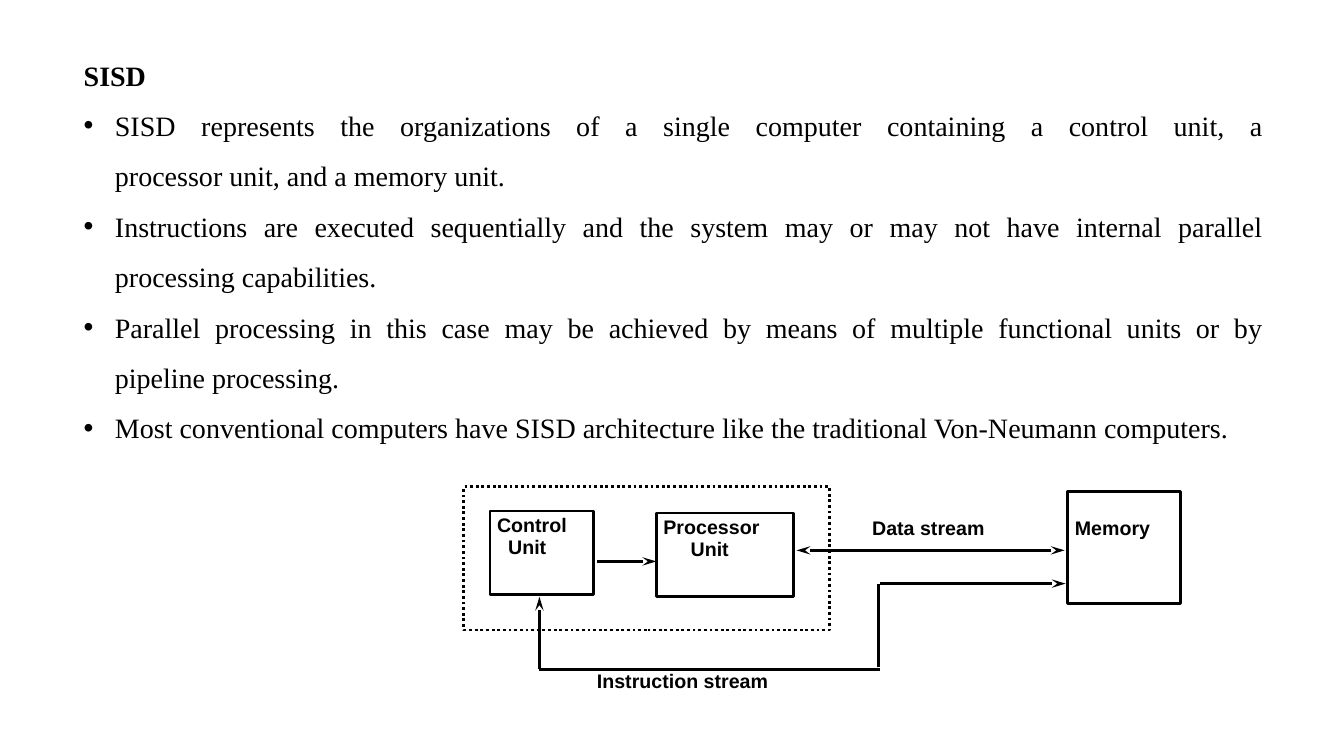
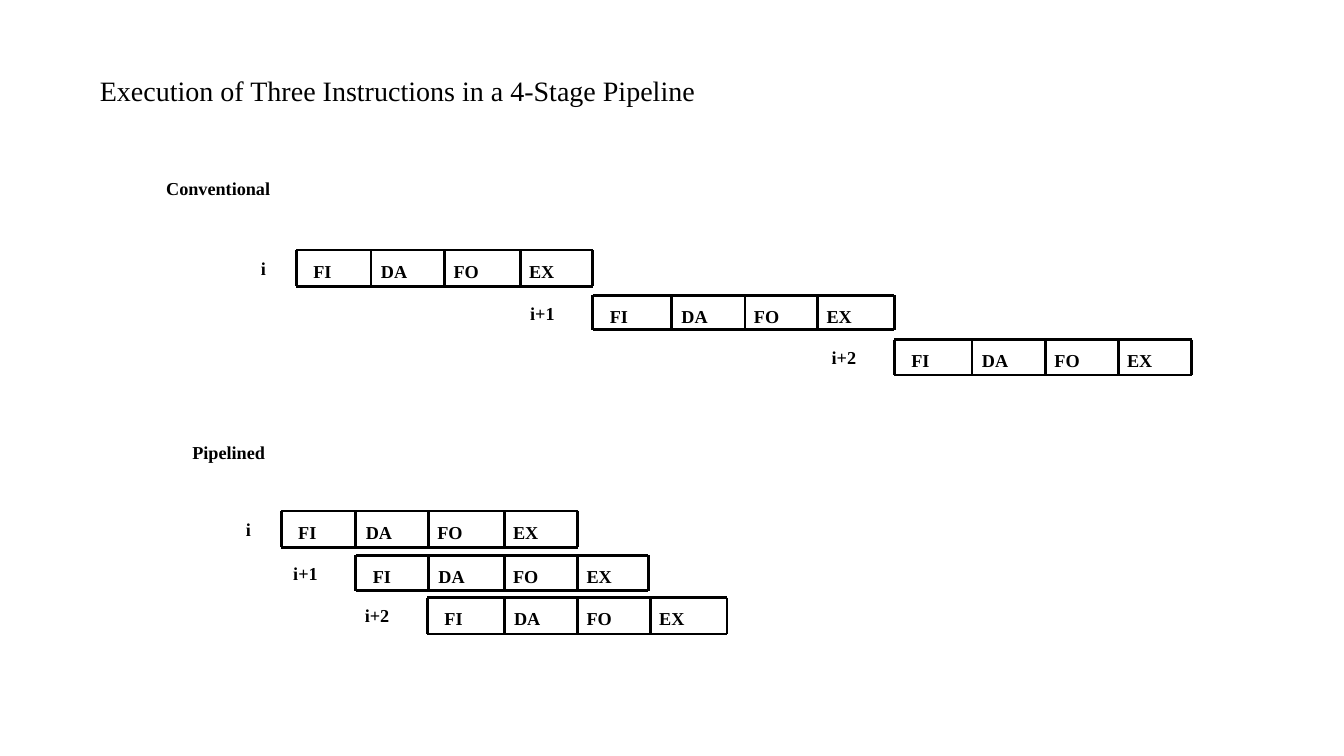
from dataclasses import dataclass

from pptx import Presentation
from pptx.dml.color import RGBColor
from pptx.enum.dml import MSO_LINE
from pptx.enum.shapes import MSO_CONNECTOR as Conn, MSO_SHAPE as Form
from pptx.enum.text import MSO_ANCHOR as Anchor, MSO_AUTO_SIZE as Fit, PP_ALIGN as Align
from pptx.oxml.ns import qn
from pptx.util import Pt
from lxml.etree import SubElement

PX = 9144  # EMU per px, 100 px to the inch


@dataclass(frozen=True)
class Theme:
    ink: RGBColor = RGBColor(0, 0, 0)
    serif: str = "Times New Roman"
    sans: str = "Arial"
    text: int = 20
    label: int = 14
    cell: int = 13
    rule: int = 2


THEME = Theme()

BULLETS = [
    "SISD represents the organizations of a single computer containing a control unit, a\v"
    "processor unit, and a memory unit.",
    "Instructions are executed sequentially and the system may or may not have internal "
    "parallel processing capabilities.",
    "Parallel processing in this case may be achieved by means of multiple functional "
    "units or by\vpipeline processing.",
    "Most conventional computers have SISD architecture like the traditional "
    "Von-Neumann computers.",
]

# Stage name: offset from its cell's left edge, and width
STAGES = {"FI": (7, 70), "DA": (0, 85), "FO": (-1, 83), "EX": (-1, 83)}
# Row label: distance from its row, and width
LABELS = {"i": (45, 46), "i+1": (72, 82), "i+2": (72, 82)}
# Each row: top, bottom, then the edges of its four cells
SERIAL = [
    (248, 284, (294, 368, 441, 516, 588)),
    (293, 327, (588, 666, 739, 811, 887)),
    (337, 372, (887, 964, 1037, 1109, 1182)),
]
STAGGER = [
    (507, 543, (279, 353, 425, 500, 573)),
    (551, 586, (353, 425, 500, 573, 643)),
    (593, 629, (424, 500, 573, 645, 721)),
]


# Text and shape helpers
def px(*sizes):
    return [round(size * PX) for size in sizes]


def write(shape, *lines, size=THEME.cell, font=THEME.serif, bold=True, inset=(10, 5),
          align=Align.LEFT, space=1.0, indents=None, hang=0):
    frame = shape.text_frame
    frame.word_wrap = True
    frame.auto_size = Fit.NONE
    frame.vertical_anchor = Anchor.TOP
    side, top = px(*inset)
    frame.margin_left = frame.margin_right = side
    frame.margin_top = frame.margin_bottom = top
    for num, line in enumerate(lines):
        para = frame.paragraphs[0] if num == 0 else frame.add_paragraph()
        para.text = line
        para.alignment = align
        para.line_spacing = space
        para.space_before = Pt(0)
        if indents:
            props = para._p.get_or_add_pPr()
            props.set("marL", str(indents[num] * PX))
            props.set("indent", str(-hang * PX))
        style = para.font
        style.name, style.size, style.bold = font, Pt(size), bold
        style.color.rgb = THEME.ink


def head(slide, text, box, **style):
    shape = slide.shapes.title
    shape.left, shape.top, shape.width, shape.height = px(*box)
    write(shape, text, size=THEME.text, **style)


def note(slide, text, box, **style):
    write(slide.shapes.add_textbox(*px(*box)), text, **style)


def ink(line):
    line.color.rgb = THEME.ink
    line.width = Pt(THEME.rule)


def rect(slide, box, *lines, dash=None, **style):
    shape = slide.shapes.add_shape(Form.RECTANGLE, *px(*box))
    shape.shadow.inherit = False
    shape.fill.background()
    ink(shape.line)
    if dash:
        shape.line.dash_style = dash
    if lines:
        write(shape, *lines, **style)


def wire(slide, start, end, *tips):
    line = slide.shapes.add_connector(Conn.STRAIGHT, *px(*start, *end))
    ink(line.line)
    for tip in tips:
        SubElement(line.line._get_or_add_ln(), qn("a:" + tip), type="stealth", len="lg")
    SubElement(line._element.spPr, qn("a:effectLst"))


# Slide 1: SISD organization
def sisd(deck):
    slide = deck.slides.add_slide(deck.slide_layouts[1])
    head(slide, "SISD", (73, 36, 1190, 60), align=Align.JUSTIFY, space=1.5)

    body = slide.placeholders[1]
    body.left, body.top, body.width, body.height = px(73, 86, 1190, 365)
    write(body, *BULLETS, size=THEME.text, bold=False, align=Align.JUSTIFY,
          space=1.5, indents=[31] * len(BULLETS), hang=31)

    # Units
    label = dict(size=THEME.label, font=THEME.sans)
    unit = dict(label, space=0.96)
    rect(slide, (460, 483, 363, 142), dash=MSO_LINE.ROUND_DOT)
    rect(slide, (486, 507, 103, 83), "Control", "Unit", inset=(7, 3), indents=(0, 11), **unit)
    rect(slide, (651, 509, 136, 83), "Processor", "Unit", inset=(7, 3), indents=(0, 27), **unit)
    rect(slide, (1059, 488, 112, 111), "Memory", inset=(7, 25), **unit)

    # Streams
    wire(slide, (592, 557), (651, 557), "tailEnd")
    wire(slide, (790, 546), (1056, 546), "headEnd", "tailEnd")
    wire(slide, (535, 664), (535, 592), "tailEnd")
    wire(slide, (535, 664), (873, 664))
    wire(slide, (871, 662), (871, 579))
    wire(slide, (873, 579), (1057, 579), "tailEnd")
    note(slide, "Data stream", (858, 509, 156, 47), inset=(7, 3), **label)
    note(slide, "Instruction stream", (585, 661, 228, 47), inset=(7, 3), **label)


# Slide 2: pipeline timing
def chart(slide, rows):
    """Draw one ruled row of stages for each instruction."""
    for (name, (gap, wide)), (top, base, edges) in zip(LABELS.items(), rows):
        left, right = edges[0], edges[-1]
        note(slide, name, (left - gap, top + 2, wide, 40))
        for y in (top, base):
            wire(slide, (left, y), (right, y))
        for x in edges:
            wire(slide, (x, top), (x, base))
        for x, (stage, (shift, width)) in zip(edges, STAGES.items()):
            note(slide, stage, (x + shift, top + 5, width, 40))


def pipe(deck):
    slide = deck.slides.add_slide(deck.slide_layouts[5])
    head(slide, "Execution of Three Instructions in a 4-Stage Pipeline",
         (92, 70, 615, 39), bold=False, inset=(7, 3))
    note(slide, "Conventional", (155, 171, 227, 40))
    chart(slide, SERIAL)
    note(slide, "Pipelined", (181, 433, 170, 40))
    chart(slide, STAGGER)


def main():
    deck = Presentation()
    deck.slide_width, deck.slide_height = px(1333, 750)
    sisd(deck)
    pipe(deck)
    deck.save("out.pptx")


if __name__ == "__main__":
    main()
